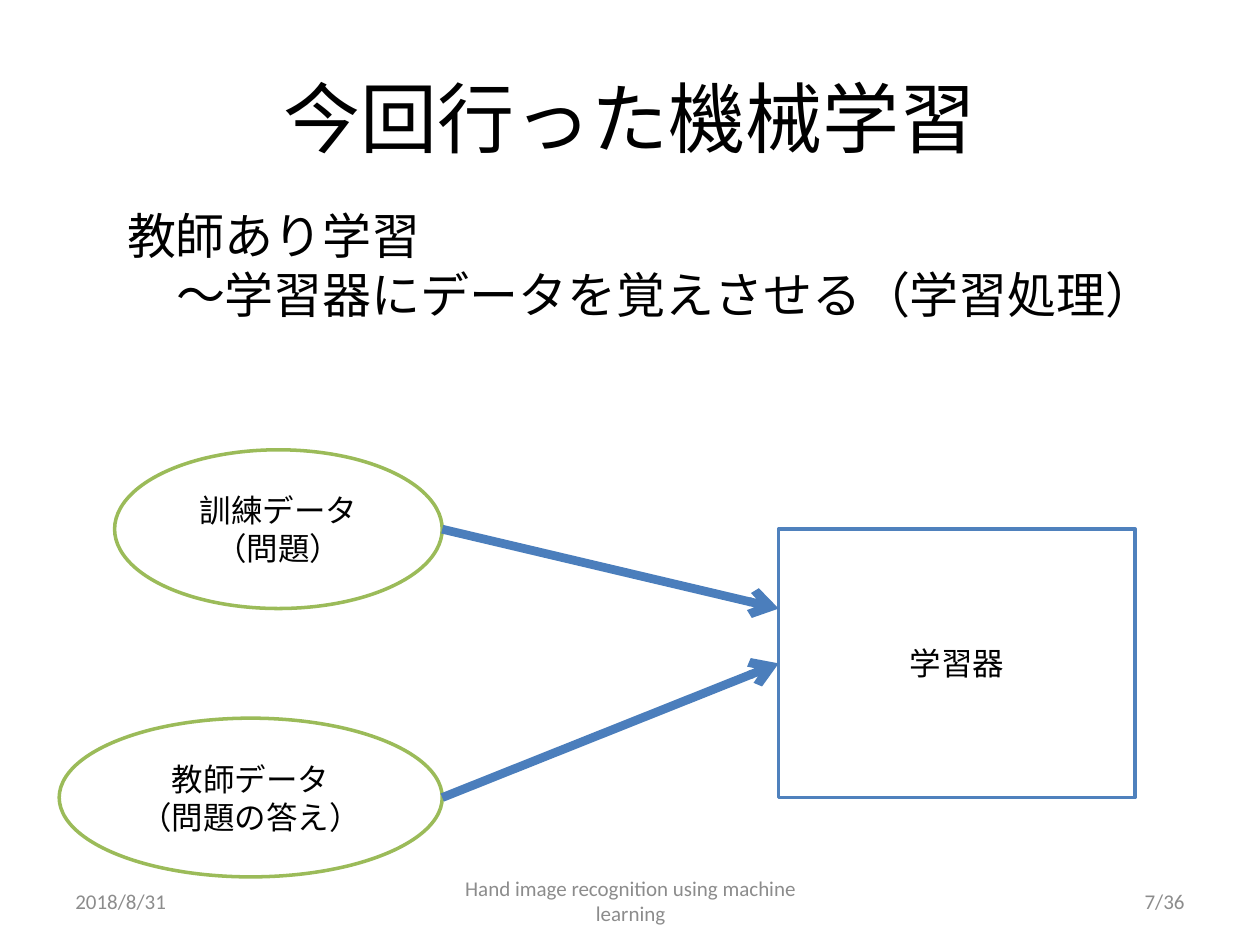
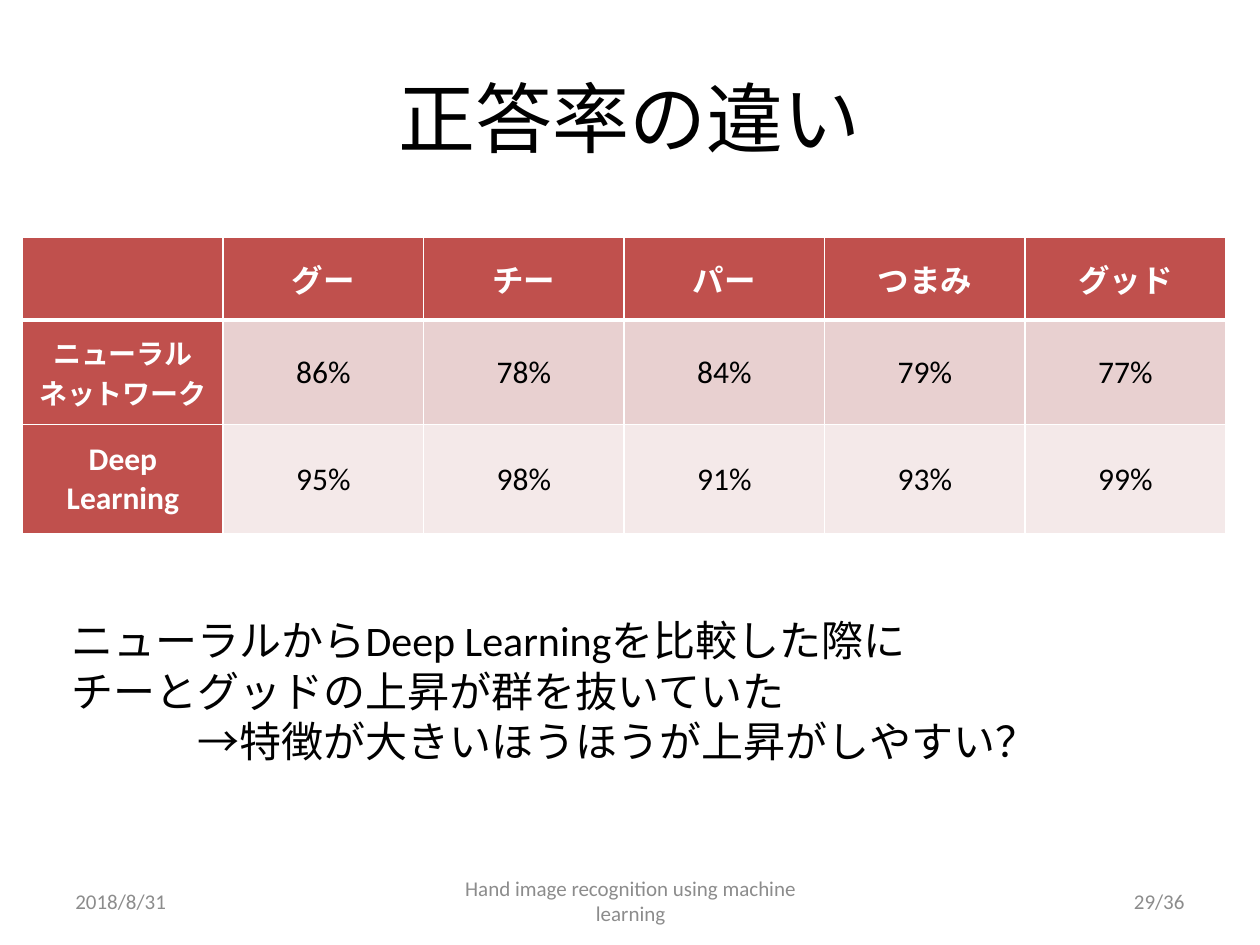
import dataclasses

import lxml.etree
import pptx
import pptx.dml.color
import pptx.enum.shapes
import pptx.enum.text
import pptx.oxml.ns
import pptx.util

ALIGN = pptx.enum.text.PP_ALIGN
ANCHOR = pptx.enum.text.MSO_ANCHOR
SHAPE = pptx.enum.shapes.MSO_SHAPE
COLUMNS, ROWS = 100, 75
UNIT = pptx.util.Inches(0.1)


@dataclasses.dataclass(frozen=True)
class Theme:
    """Colours, fonts and type sizes shared by the slides."""
    ink: str = "000000"
    paper: str = "FFFFFF"
    muted: str = "8C8C8C"
    learner: str = "4F81BD"
    arrow: str = "4B7EBC"
    data: str = "9BBB59"
    head: str = "C0504D"
    bands: tuple = ("E8D0D0", "F4E9E9")
    latin: str = "Calibri"
    japanese: str = "Noto Sans CJK JP"
    title: int = 44
    lead: int = 28
    remark: int = 24
    label: int = 18
    small_label: int = 16
    footer: int = 12
    outline: int = 2
    arrow_line: int = 5
    border: int = 1
    head_border: int = 3


THEME = Theme()


@dataclasses.dataclass(frozen=True)
class Box:
    """A rectangle measured in grid columns and rows."""
    left: float
    top: float
    width: float
    height: float

    def inner(self, left, top, width, height):
        """Return a box whose corner is offset from this one."""
        return Box(self.left + left, self.top + top, width, height)

    def lengths(self):
        """Return left, top, width and height as slide lengths."""
        return [round(value * UNIT) for value in dataclasses.astuple(self)]


FOOTER = Box(5, 69.5, 90, 4)


def rgb(color):
    """Turn a hexadecimal string into a colour."""
    return pptx.dml.color.RGBColor.from_string(color)


def element(parent, tag, **attributes):
    """Append a drawing element to its parent."""
    return lxml.etree.SubElement(parent, pptx.oxml.ns.qn(tag), attributes)


def write(frame, lines, size, color=THEME.ink, align=ALIGN.LEFT,
          anchor=ANCHOR.MIDDLE, font=THEME.latin, bold=False, indents=None):
    """Fill a text frame with formatted paragraphs, indented in characters."""
    frame.word_wrap = True
    frame.vertical_anchor = anchor
    frame.text = "\n".join(lines)
    for index, paragraph in enumerate(frame.paragraphs):
        paragraph.alignment = align
        if indents:
            margin = pptx.util.Pt(size * indents[index])
            paragraph._p.get_or_add_pPr().set("marL", str(margin))
        for run in paragraph.runs:
            formats = {"name": font, "size": pptx.util.Pt(size), "bold": bold}
            for name, value in formats.items():
                setattr(run.font, name, value)
            run.font.color.rgb = rgb(color)
            element(run._r.get_or_add_rPr(), "a:ea", typeface=THEME.japanese)


def add_text(slide, box, lines, size, **formats):
    """Place a text box."""
    text_box = slide.shapes.add_textbox(*box.lengths())
    write(text_box.text_frame, lines, size, **formats)


def add_node(slide, box, kind, lines, outline):
    """Place an outlined diagram node with a centred label."""
    shape = slide.shapes.add_shape(kind, *box.lengths())
    shape.shadow.inherit = False
    shape.fill.solid()
    shape.fill.fore_color.rgb = rgb(THEME.paper)
    shape.line.color.rgb = rgb(outline)
    shape.line.width = pptx.util.Pt(THEME.outline)
    write(shape.text_frame, lines, THEME.label, align=ALIGN.CENTER)
    return shape


def add_arrow(slide, start, end):
    """Draw a thick arrow between two grid points."""
    points = [round(value * UNIT) for value in (*start, *end)]
    arrow = slide.shapes.add_connector(
        pptx.enum.shapes.MSO_CONNECTOR.STRAIGHT, *points)
    arrow.line.color.rgb = rgb(THEME.arrow)
    arrow.line.width = pptx.util.Pt(THEME.arrow_line)
    element(arrow.line._get_or_add_ln(), "a:tailEnd", type="arrow")
    element(arrow._element.spPr, "a:effectLst")
    return arrow


def add_footer(slide, box, page):
    """Place the date, the talk title and the page number."""
    parts = (
        (0, 23.3, "2018/8/31", ALIGN.LEFT),
        (29.2, 31.7, "Hand image recognition using machine learning",
         ALIGN.CENTER),
        (66.7, 23.3, page, ALIGN.RIGHT),
    )
    for left, width, text, align in parts:
        add_text(slide, box.inner(left, 0, width, box.height), [text],
                 THEME.footer, color=THEME.muted, align=align)


def add_titled_slide(presentation, title, page):
    """Add a slide with the shared title and footer."""
    slide = presentation.slides.add_slide(presentation.slide_layouts[5])
    shape = slide.shapes.title
    places = zip(("left", "top", "width", "height"),
                 Box(5, 3, 90, 12.5).lengths())
    for name, value in places:
        setattr(shape, name, value)
    write(shape.text_frame, [title], THEME.title, align=ALIGN.CENTER)
    add_footer(slide, FOOTER, page)
    return slide


def add_learning_diagram(slide, box):
    """Place two data ellipses with arrows into the learner."""
    ellipse_height = 12.6
    ellipse_right = 30.4
    learner_box = box.inner(57.1, ellipse_height / 2, 28.3,
                            box.height - ellipse_height)
    learner = add_node(slide, learner_box, SHAPE.RECTANGLE, ["学習器"],
                       THEME.learner)
    sources = (
        (0, 26, ["訓練データ（問題）"], 6.3),
        (box.height - ellipse_height, 30.4, ["教師データ", "（問題の答え）"],
         learner_box.height / 2),
    )
    arrows = []
    for top, width, lines, entry in sources:
        ellipse = box.inner(ellipse_right - width, top, width, ellipse_height)
        add_node(slide, ellipse, SHAPE.OVAL, lines, THEME.data)
        start = (box.left + ellipse_right, ellipse.top + ellipse_height / 2)
        arrows.append(add_arrow(slide, start, (learner_box.left,
                                              learner_box.top + entry)))
    arrows[-1].end_connect(learner, 1)


def format_cell(cell, text, row, column):
    """Format one cell as a heading or a banded value."""
    heading = row == 0 or column == 0
    properties = cell._tc.get_or_add_tcPr()
    for side in "LRTB":
        thick = (row, side) in ((0, "B"), (1, "T"))
        width = pptx.util.Pt(THEME.head_border if thick else THEME.border)
        line = element(properties, f"a:ln{side}", w=str(width))
        element(element(line, "a:solidFill"), "a:srgbClr", val=THEME.paper)
    cell.fill.solid()
    cell.fill.fore_color.rgb = rgb(
        THEME.head if heading else THEME.bands[row - 1])
    size = THEME.small_label if (row, column) == (1, 0) else THEME.label
    write(cell.text_frame, [text], size, align=ALIGN.CENTER, bold=heading,
          color=THEME.paper if heading else THEME.ink)
    cell.vertical_anchor = ANCHOR.MIDDLE


def add_accuracy_table(slide, box):
    """Place the table of accuracy by gesture and method."""
    records = (
        ("", "グー", "チー", "パー", "つまみ", "グッド"),
        ("ニューラルネットワーク", "86%", "78%", "84%", "79%", "77%"),
        ("Deep Learning", "95%", "98%", "91%", "93%", "99%"),
    )
    row_heights = (6.6, 8.3, 8.7)
    table = slide.shapes.add_table(
        len(records), len(records[0]), *box.lengths()).table
    for column in table.columns:
        column.width = round(box.width * UNIT / len(records[0]))
    for row, (record, height) in enumerate(zip(records, row_heights)):
        table.rows[row].height = round(height * UNIT)
        for column, text in enumerate(record):
            format_cell(table.cell(row, column), text, row, column)


def build_learning_slide(presentation):
    """Build the slide on supervised learning."""
    slide = add_titled_slide(presentation, "今回行った機械学習", "7/36")
    add_text(slide, Box(9.1, 15.8, 87.2, 10.4),
             ["教師あり学習", "～学習器にデータを覚えさせる（学習処理）"],
             THEME.lead, font=THEME.japanese, anchor=ANCHOR.TOP,
             indents=(0, 1))
    add_learning_diagram(slide, Box(4.7, 35.7, 85.4, 33.9))


def build_accuracy_slide(presentation):
    """Build the slide comparing accuracies."""
    slide = add_titled_slide(presentation, "正答率の違い", "29/36")
    add_accuracy_table(slide, Box(1.8, 18.8, 95.5, 23.6))
    add_text(slide, Box(4.7, 48.3, 83.7, 13.1),
             ["ニューラルからDeep Learningを比較した際に",
              "チーとグッドの上昇が群を抜いていた",
              "→特徴が大きいほうほうが上昇がしやすい？"],
             THEME.remark, anchor=ANCHOR.TOP, indents=(0, 0, 3))


def main():
    """Build and save the presentation."""
    presentation = pptx.Presentation()
    presentation.slide_width = COLUMNS * UNIT
    presentation.slide_height = ROWS * UNIT
    build_learning_slide(presentation)
    build_accuracy_slide(presentation)
    presentation.save("out.pptx")


if __name__ == "__main__":
    main()
